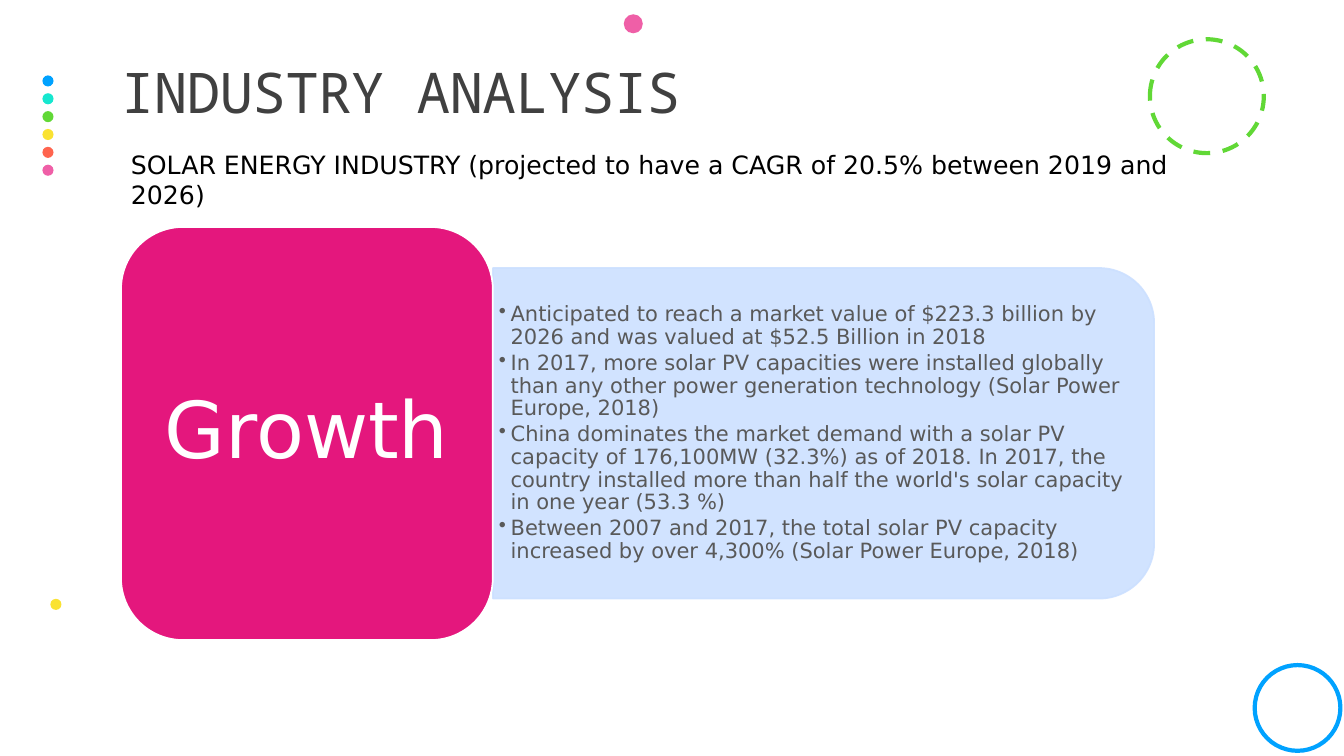
import dataclasses

import pptx
import pptx.dml.color
import pptx.enum.dml
import pptx.enum.shapes
import pptx.enum.text
import pptx.oxml
import pptx.oxml.ns
import pptx.util

Cm = pptx.util.Cm
Pt = pptx.util.Pt
SHAPES = pptx.enum.shapes.MSO_SHAPE
ANCHOR = pptx.enum.text.MSO_ANCHOR
ALIGN = pptx.enum.text.PP_ALIGN


@dataclasses.dataclass(frozen=True)
class Theme:
    blue: str = "00A2FF"
    teal: str = "16E7CF"
    green: str = "61D836"
    yellow: str = "FAE232"
    coral: str = "FF644E"
    pink: str = "EF5FA7"
    magenta: str = "E4177D"
    pale_blue: str = "CCE0FF"
    white: str = "FFFFFF"
    black: str = "000000"
    title_grey: str = "404040"
    body_grey: str = "595959"
    body_font: str = "DejaVu Sans"
    title_font: str = "Noto Sans Mono"
    title_size: int = 40
    subtitle_size: int = 18
    body_size: int = 15
    label_size: int = 56


def rgb(color):
    return pptx.dml.color.RGBColor.from_string(color)


def set_opacity(fill_parent, percent):
    """Make the solid fill inside an element partly transparent."""
    color = fill_parent.find(pptx.oxml.ns.qn("a:solidFill"))[0]
    alpha = color.makeelement(pptx.oxml.ns.qn("a:alpha"), {"val": str(percent * 1000)})
    color.append(alpha)


def write_text(box, *texts, font, size, color, align=ALIGN.LEFT, anchor=ANCHOR.MIDDLE,
               insets=(0.25, 0.13), line_spacing=0.9, space_after=0,
               bullet_indent=None, tracking=None):
    """Fill a shape with one paragraph per text; lengths in cm, sizes in points."""
    frame = box.text_frame
    frame.word_wrap = True
    frame.vertical_anchor = anchor
    frame.margin_left = frame.margin_right = Cm(insets[0])
    frame.margin_top = frame.margin_bottom = Cm(insets[1])
    for index, text in enumerate(texts):
        para = frame.add_paragraph() if index else frame.paragraphs[0]
        para.alignment = align
        para.line_spacing = line_spacing
        para.space_after = Pt(space_after)
        if bullet_indent:
            properties = para._p.get_or_add_pPr()
            properties.set("marL", str(Cm(bullet_indent)))
            properties.set("indent", str(-Cm(bullet_indent)))
            bullet = properties.makeelement(pptx.oxml.ns.qn("a:buChar"), {"char": "•"})
            properties.append(bullet)
        span = para.add_run()
        span.text = text
        span.font.name = font
        span.font.size = Pt(size)
        span.font.color.rgb = rgb(color)
        if tracking:
            span._r.get_or_add_rPr().set("spc", str(int(tracking * 100)))


class SlideBuilder:
    def __init__(self, page, theme):
        self.page = page
        self.theme = theme

    def shape(self, kind, left, top, width, height, fill=None, line=None,
              line_width=1.25, dash=None, rotation=0, opacity=None):
        shape = self.page.shapes.add_shape(kind, Cm(left), Cm(top), Cm(width), Cm(height))
        shape.shadow.inherit = False
        shape.rotation = rotation
        if fill:
            shape.fill.solid()
            shape.fill.fore_color.rgb = rgb(fill)
        else:
            shape.fill.background()
        if line:
            shape.line.color.rgb = rgb(line)
            shape.line.width = Pt(line_width)
            if dash:
                shape.line.dash_style = dash
        else:
            shape.line.fill.background()
        if opacity:
            properties = shape._element.spPr
            set_opacity(properties, opacity)
            set_opacity(properties.find(pptx.oxml.ns.qn("a:ln")), opacity)
        return shape

    def dot(self, left, top, size, color):
        return self.shape(SHAPES.OVAL, left, top, size, size, fill=color)

    def ring(self, left, top, size, color, dash=None):
        return self.shape(SHAPES.OVAL, left, top, size, size,
                          line=color, line_width=3, dash=dash)

    def text(self, left, top, width, height, *texts, **style):
        box = self.page.shapes.add_textbox(Cm(left), Cm(top), Cm(width), Cm(height))
        write_text(box, *texts, **style)
        return box


GROWTH_POINTS = (
    "Anticipated to reach a market value of $223.3 billion by 2026 and was valued at "
    "$52.5 Billion in 2018",
    "In 2017, more solar PV capacities were installed globally than any other power "
    "generation technology (Solar Power Europe, 2018)",
    "China dominates the market demand with a solar PV capacity of 176,100MW (32.3%) as of "
    "2018. In 2017, the country installed more than half the world's solar capacity in one "
    "year (53.3 %)",
    "Between 2007 and 2017, the total solar PV capacity increased by over 4,300% "
    "(Solar Power Europe, 2018)",
)


def main():
    deck = pptx.Presentation()
    deck.slide_width, deck.slide_height = Cm(33.87), Cm(19.05)
    theme = Theme()
    builder = SlideBuilder(deck.slides.add_slide(deck.slide_layouts[6]), theme)

    # Decorative dots and rings
    column = (theme.blue, theme.teal, theme.green, theme.yellow, theme.coral, theme.pink)
    for index, color in enumerate(column):
        builder.dot(1.07, 1.9 + index * 0.45, 0.28, color)
    builder.ring(28.98, 0.99, 2.87, theme.green, dash=pptx.enum.dml.MSO_LINE.DASH)
    builder.dot(1.27, 15.09, 0.28, theme.yellow)
    builder.dot(15.72, 0.36, 0.48, theme.pink)
    builder.ring(31.62, 16.76, 2.16, theme.blue)

    # Growth panel: the turned shape has its round corners on the right
    builder.shape(SHAPES.ROUND_2_SAME_RECTANGLE, 16.59, 2.59, 8.33, 16.66,
                  fill=theme.pale_blue, line=theme.pale_blue, rotation=90, opacity=90)
    builder.text(12.42, 7.16, 16.26, 7.52, *GROWTH_POINTS, font=theme.body_font,
                 size=theme.body_size, color=theme.body_grey, insets=(0.15, 0.08),
                 space_after=2.25, bullet_indent=0.3)

    # Growth label
    label = builder.shape(SHAPES.ROUNDED_RECTANGLE, 3.05, 5.72, 9.37, 10.41,
                          fill=theme.magenta, line=theme.white)
    write_text(label, "Growth", font=theme.body_font, size=theme.label_size,
               color=theme.white, align=ALIGN.CENTER, insets=(0.58, 0.3))

    # Title and subtitle
    builder.text(3.05, 1.17, 27.94, 2.46, "INDUSTRY ANALYSIS", font=theme.title_font,
                 size=theme.title_size, color=theme.title_grey, insets=(0, 0.13),
                 tracking=-0.5)
    builder.text(3.05, 3.63, 27.94, 1.8,
                 "SOLAR ENERGY INDUSTRY (projected to have a CAGR of 20.5% between 2019 and 2026)",
                 font=theme.body_font, size=theme.subtitle_size, color=theme.black,
                 anchor=ANCHOR.TOP, line_spacing=1.0)

    deck.save("out.pptx")


if __name__ == "__main__":
    main()
